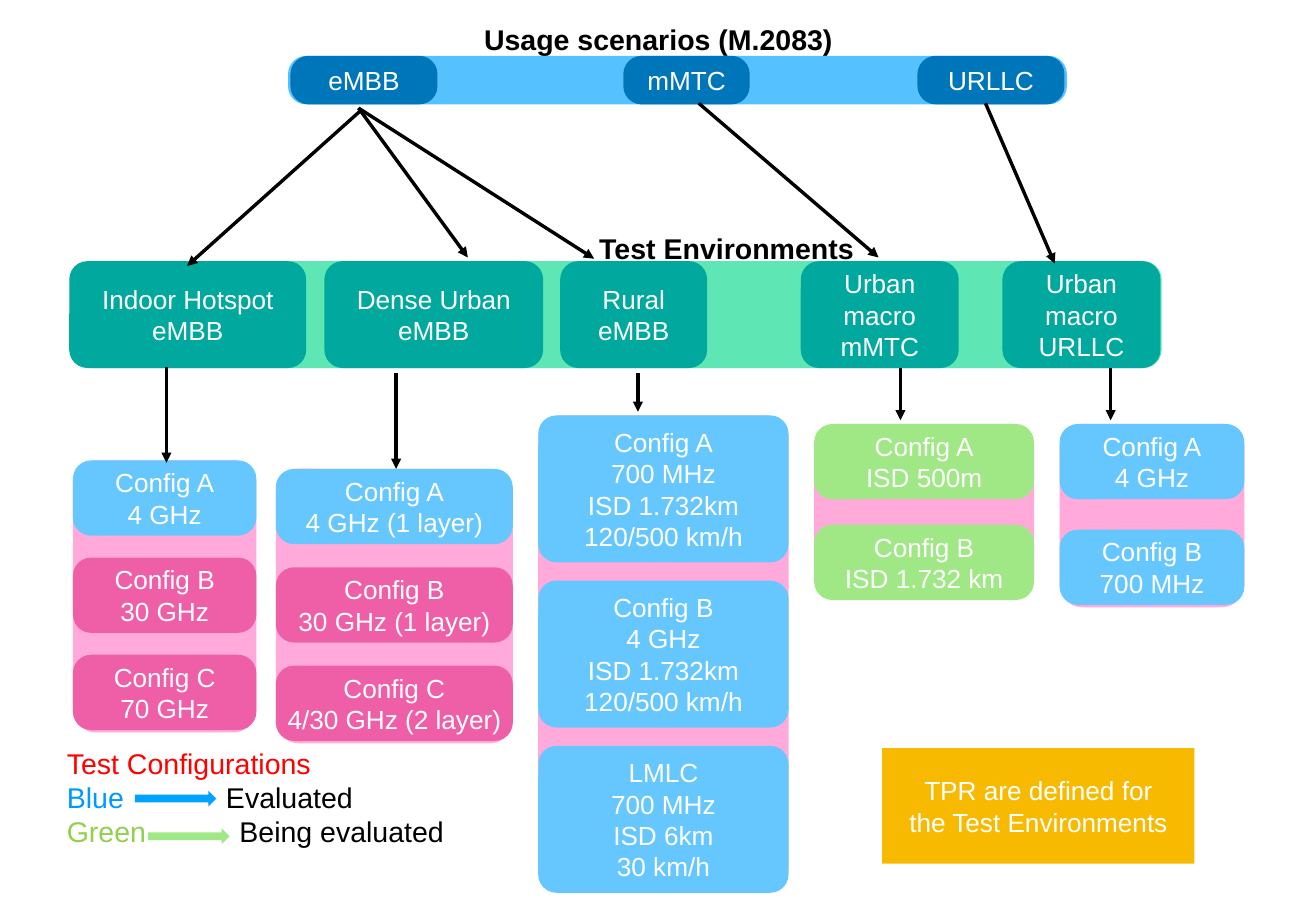
import pptx
import pptx.util
import pptx.dml.color
import pptx.enum.shapes
import pptx.enum.text
import pptx.oxml.ns
from lxml import etree

# All positions and sizes count cells of a square grid, 108.3 columns by 75 rows.
CELL = pptx.util.Inches(0.1)
COLUMNS, ROWS = 108.3, 75
SHAPE = pptx.enum.shapes.MSO_SHAPE
ALIGN = pptx.enum.text.PP_ALIGN
ANCHOR = pptx.enum.text.MSO_ANCHOR

WHITE, BLACK = "FFFFFF", "000000"
BLUE, PINK, GREEN = "66C7FF", "EF5FA7", "A0E886"
LABEL = {"name": "Arial", "size": pptx.util.Pt(15.5)}
HEADING = {"name": "Arial", "size": pptx.util.Pt(16.9), "bold": True}
LEGEND = {"name": "Arial", "size": pptx.util.Pt(16.9)}

SCENARIO_BAR = (23.7, 4.6, 64.1, 4)
SCENARIOS = [(0.2, 12.1, "eMBB"), (27.6, 10.4, "mMTC"), (51.8, 12.1, "URLLC")]
ENVIRONMENT_BAR = (6.1, 21.5, 89.5, 8.8)
ENVIRONMENTS = [
    (-0.4, 19.5, "Indoor Hotspot\neMBB"),
    (20.6, 18, "Dense Urban\neMBB"),
    (40, 12.1, "Rural\neMBB"),
    (59.8, 13, "Urban macro\nmMTC"),
    (76.4, 13, "Urban\nmacro\nURLLC"),
]
# Panel box, card height, step from card to card, cards
CONFIGURATIONS = [
    ((6, 37.9, 15.1, 22.4), 6.2, 8, [
        (BLUE, "Config A\n4 GHz"),
        (PINK, "Config B\n30 GHz"),
        (PINK, "Config C\n70 GHz")]),
    ((22.7, 38.6, 19.5, 22.6), 6.2, 8.1, [
        (BLUE, "Config A\n4 GHz (1 layer)"),
        (PINK, "Config B\n30 GHz (1 layer)"),
        (PINK, "Config C\n4/30 GHz (2 layer)")]),
    ((44.3, 34.2, 20.6, 38.8), 12.1, 13.6, [
        (BLUE, "Config A\n700 MHz\nISD 1.732km\n120/500 km/h"),
        (BLUE, "Config B\n4 GHz\nISD 1.732km\n120/500 km/h"),
        (BLUE, "LMLC\n700 MHz\nISD 6km\n30 km/h")]),
    ((67, 34.9, 18.1, 14.3), 6.2, 8.3, [
        (GREEN, "Config A\nISD 500m"),
        (GREEN, "Config B\nISD 1.732 km")]),
    ((87.2, 34.9, 15.2, 15.1), 6.2, 8.7, [
        (BLUE, "Config A\n4 GHz"),
        (BLUE, "Config B\n700 MHz")]),
]
SCENARIO_ARROWS = [
    (29.8, 9, 15.4, 21.9), (29.5, 8.9, 38.5, 21.2), (29.5, 8.9, 48.9, 21.3),
    (57.5, 8.5, 72.3, 21.2), (81.1, 8.5, 86.8, 21.7),
]
# Column, start row, end row
CONFIGURATION_ARROWS = [
    (13.7, 30.2, 38.1), (32.6, 30.7, 38.6), (52.5, 30.7, 33.9),
    (74.1, 30.3, 34.6), (91.4, 30.3, 34.6),
]


def cells(*counts):
    return [round(count * CELL) for count in counts]


def colour(hex_string):
    return pptx.dml.color.RGBColor.from_string(hex_string)


def add_span(para, text, font, ink):
    span = para.add_run()
    span.text = text
    for name, value in font.items():
        setattr(span.font, name, value)
    span.font.color.rgb = colour(ink)


def set_frame(frame, anchor=ANCHOR.MIDDLE, wrap=True):
    inset = round(0.4 * CELL)
    settings = {
        "margin_left": inset, "margin_right": inset,
        "margin_top": inset, "margin_bottom": inset,
        "vertical_anchor": anchor, "word_wrap": wrap,
        "auto_size": pptx.enum.text.MSO_AUTO_SIZE.NONE,
    }
    for name, value in settings.items():
        setattr(frame, name, value)


def write(frame, text, font, ink):
    """Fill a text frame with centred lines."""
    set_frame(frame)
    for index, line in enumerate(text.split("\n")):
        para = frame.add_paragraph() if index else frame.paragraphs[0]
        para.alignment = ALIGN.CENTER
        add_span(para, line, font, ink)


def add_block(page, box, fill, text="", kind=SHAPE.ROUNDED_RECTANGLE, radius=1.5):
    block = page.shapes.add_shape(kind, *cells(*box))
    block.shadow.inherit = False
    block.fill.solid()
    block.fill.fore_color.rgb = colour(fill)
    block.line.fill.background()
    if kind == SHAPE.ROUNDED_RECTANGLE:
        block.adjustments[0] = radius / min(box[2:])
    if text:
        write(block.text_frame, text, LABEL, WHITE)


def add_arrow(page, start_x, start_y, end_x, end_y):
    arrow = page.shapes.add_connector(
        pptx.enum.shapes.MSO_CONNECTOR.STRAIGHT, *cells(start_x, start_y, end_x, end_y))
    arrow.line.width = pptx.util.Pt(2)
    arrow.line.color.rgb = colour(BLACK)
    qn = pptx.oxml.ns.qn
    etree.SubElement(arrow.line._get_or_add_ln(), qn("a:tailEnd"), type="triangle")
    etree.SubElement(arrow._element.spPr, qn("a:effectLst"))


def add_band(page, box, bar_fill, block_fill, blocks):
    """Draw a bar and the labelled blocks that lie along it."""
    left, top, width, height = box
    add_block(page, box, bar_fill)
    for offset, block_width, text in blocks:
        add_block(page, (left + offset, top, block_width, height), block_fill, text)


def add_heading(shape, box, text):
    for name, value in zip(("left", "top", "width", "height"), cells(*box)):
        setattr(shape, name, value)
    write(shape.text_frame, text, HEADING, BLACK)


def add_configuration(page, panel, card_height, step, cards):
    left, top, width, height = panel
    add_block(page, panel, "FFAADA", radius=1.9)
    for index, (fill, text) in enumerate(cards):
        add_block(page, (left, top + index * step, width, card_height), fill, text)


def add_legend(page, box):
    left, top, width, height = box
    frame = page.shapes.add_textbox(*cells(*box)).text_frame
    set_frame(frame, ANCHOR.TOP, wrap=False)
    add_span(frame.paragraphs[0], "Test Configurations", LEGEND, "FF0000")
    rows = [
        ("Blue", "0099FF", "Evaluated", 13.1, 6, 4.1, "00A2FF"),
        ("Green", "92D050", "Being evaluated", 14.2, 7.1, 7.2, GREEN),
    ]
    qn = pptx.oxml.ns.qn
    for name, ink, meaning, stop, arrow_x, arrow_y, fill in rows:
        para = frame.add_paragraph()
        tabs = etree.SubElement(para._p.get_or_add_pPr(), qn("a:tabLst"))
        etree.SubElement(tabs, qn("a:tab"), pos=str(cells(stop)[0]), algn="l")
        add_span(para, name + "\t", LEGEND, ink)
        add_span(para, meaning, LEGEND, BLACK)
        add_block(page, (left + arrow_x, top + arrow_y, 6.7, 1.3), fill,
                  kind=SHAPE.RIGHT_ARROW)


def main():
    deck = pptx.Presentation()
    deck.slide_width, deck.slide_height = cells(COLUMNS, ROWS)
    page = deck.slides.add_slide(deck.slide_layouts[5])
    add_heading(page.shapes.title, (33.9, 1.4, 40.6, 3.6), "Usage scenarios (M.2083)")
    add_band(page, SCENARIO_BAR, "56C1FF", "0076BA", SCENARIOS)
    add_band(page, ENVIRONMENT_BAR, "5EE7B5", "00A89D", ENVIRONMENTS)
    add_heading(page.shapes.add_textbox(0, 0, CELL, CELL), (48.8, 18.6, 22, 3.6),
                "Test Environments")
    for configuration in CONFIGURATIONS:
        add_configuration(page, *configuration)
    for ends in SCENARIO_ARROWS:
        add_arrow(page, *ends)
    for column, start, end in CONFIGURATION_ARROWS:
        add_arrow(page, column, start, column, end)
    add_legend(page, (5.1, 61, 32.1, 12.1))
    add_block(page, (72.6, 61.6, 25.7, 9.5), "F7BA01",
              "TPR are defined for\nthe Test Environments", SHAPE.RECTANGLE)
    deck.save("out.pptx")


if __name__ == "__main__":
    main()
